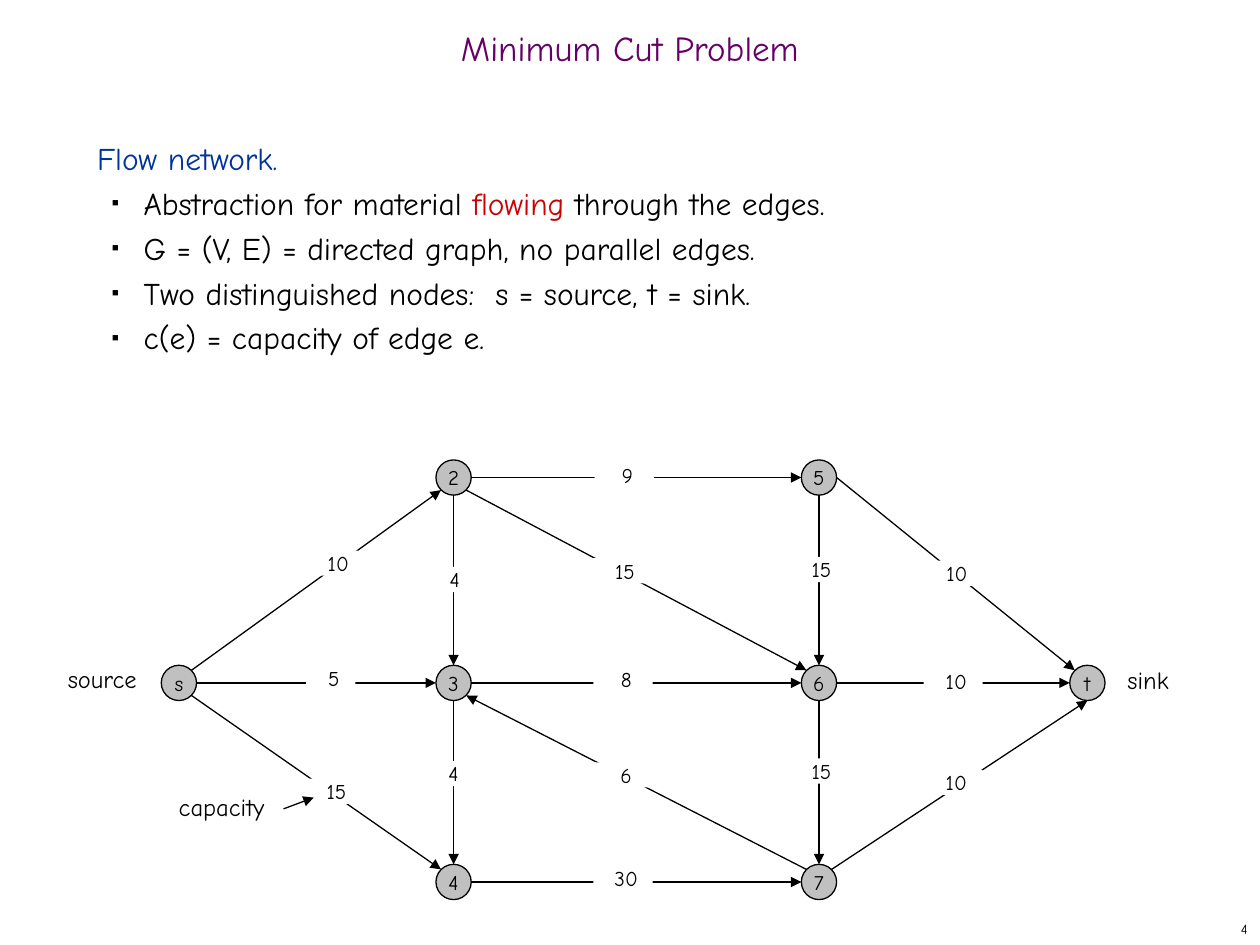
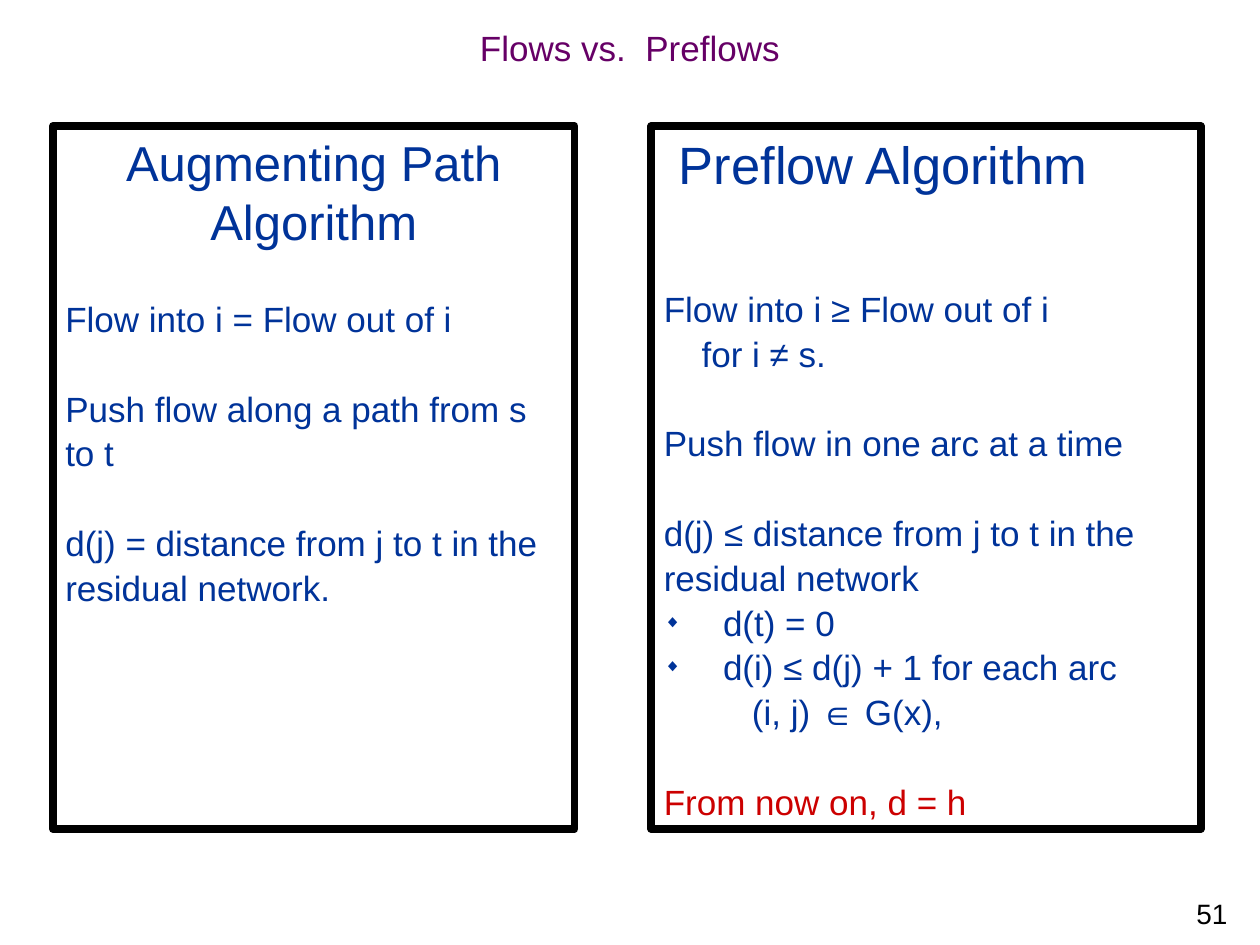
"""Build two slides on network flows: the minimum cut problem, and flows against preflows."""
from lxml.etree import SubElement
from pptx import Presentation
from pptx.dml.color import RGBColor
from pptx.enum.shapes import MSO_CONNECTOR as Connector, MSO_SHAPE as Shape
from pptx.enum.text import MSO_ANCHOR as Anchor, MSO_AUTO_SIZE as AutoSize, PP_ALIGN as Align
from pptx.oxml.ns import qn
from pptx.util import Inches, Pt

BLACK, WHITE, GRAY = "000000", "FFFFFF", "C0C0C0"
PURPLE, BLUE, RED = "660066", "003399", "CC0000"
LINE_PITCH = 25.6
RADIUS, DIAGONAL = 0.14, 0.1
PORTS = {
    "N": (0, -RADIUS), "S": (0, RADIUS), "W": (-RADIUS, 0), "E": (RADIUS, 0),
    "NW": (-DIAGONAL, -DIAGONAL), "NE": (DIAGONAL, -DIAGONAL),
    "SW": (-DIAGONAL, DIAGONAL), "SE": (DIAGONAL, DIAGONAL),
}


def rgb(color):
    """Turn a hex string into a colour."""
    return RGBColor.from_string(color)


class Deck:
    """Hold the shared style and the slide being drawn."""

    def __init__(self):
        """Open an empty presentation of 10 by 7.5 inches."""
        self.presentation = Presentation()
        self.presentation.slide_width = Inches(10)
        self.presentation.slide_height = Inches(7.5)

    def start(self, layout, title, font):
        """Add a slide with its title."""
        self.slide = self.presentation.slides.add_slide(self.presentation.slide_layouts[layout])
        self.font = font
        shape = self.slide.shapes.title
        self.place(shape, 0, 0.17, 10, 0.5)
        frame = self.frame(shape, Anchor.MIDDLE)
        self.fill_paragraph(frame.paragraphs[0], title, 20, PURPLE, Align.CENTER, spacing=0.7)

    def place(self, shape, left, top, width, height):
        """Move and size a shape."""
        shape.left, shape.top = Inches(left), Inches(top)
        shape.width, shape.height = Inches(width), Inches(height)

    def frame(self, shape, anchor=Anchor.TOP, wrap=True, insets=(0.1, 0.05, 0.1, 0.05)):
        """Prepare the text frame of a shape."""
        frame = shape.text_frame
        frame.auto_size, frame.word_wrap, frame.vertical_anchor = AutoSize.NONE, wrap, anchor
        frame.margin_left, frame.margin_top, frame.margin_right, frame.margin_bottom = map(Inches, insets)
        return frame

    def fill_paragraph(self, paragraph, text, size, color, align=Align.LEFT, spacing=None,
                       before=0, margin=0, indent=0, bullet=None):
        """Fill and format a paragraph from a string or from (text, colour) pieces."""
        pieces = [(text, color)] if isinstance(text, str) else text
        for words, tint in pieces:
            run = paragraph.add_run()
            run.text = words
            run.font.name, run.font.size = self.font, Pt(size)
            run.font.color.rgb = rgb(tint)
        paragraph.alignment = align
        paragraph.space_before = Pt(before)
        if spacing:
            paragraph.line_spacing = spacing
        properties = paragraph._p.get_or_add_pPr()
        properties.set("marL", str(Inches(margin)))
        properties.set("indent", str(Inches(indent)))
        if bullet:
            mark, percent = bullet
            SubElement(SubElement(properties, qn("a:buClr")), qn("a:srgbClr"), val=color)
            SubElement(properties, qn("a:buSzPct"), val=str(percent * 1000))
            SubElement(properties, qn("a:buFont"), typeface="Arial")
            SubElement(properties, qn("a:buChar"), char=mark)
        else:
            SubElement(properties, qn("a:buNone"))

    def body(self, heading, items):
        """Fill the body placeholder with a heading and bulleted items."""
        shape = self.slide.placeholders[1]
        self.place(shape, 0.67, 1, 8.58, 5.92)
        frame = self.frame(shape)
        self.fill_paragraph(frame.paragraphs[0], heading, 18, BLUE, spacing=Pt(LINE_PITCH))
        for item in items:
            paragraph = frame.add_paragraph()
            paragraph.level = 1
            self.fill_paragraph(paragraph, item, 18, BLACK, spacing=Pt(LINE_PITCH),
                                margin=0.37, indent=-0.25, bullet=("■", 35))

    def text(self, text, left, top, width, height, size, align=Align.LEFT, anchor=Anchor.TOP):
        """Add a line of black text."""
        box = self.slide.shapes.add_textbox(*map(Inches, (left, top, width, height)))
        frame = self.frame(box, anchor, wrap=False)
        self.fill_paragraph(frame.paragraphs[0], text, size, BLACK, align)

    def shape(self, kind, left, top, width, height, fill, line_width=0):
        """Add a filled shape, outlined in black if a line width is given."""
        shape = self.slide.shapes.add_shape(kind, *map(Inches, (left, top, width, height)))
        shape.shadow.inherit = False
        shape.fill.solid()
        shape.fill.fore_color.rgb = rgb(fill)
        if line_width:
            shape.line.color.rgb = rgb(BLACK)
            shape.line.width = Pt(line_width)
        else:
            shape.line.fill.background()
        return shape

    def node(self, name, x, y):
        """Add a graph node centred on a point."""
        circle = self.shape(Shape.OVAL, x - RADIUS, y - RADIUS, 2 * RADIUS, 2 * RADIUS, GRAY, 0.74)
        frame = self.frame(circle, Anchor.MIDDLE, wrap=False)
        self.fill_paragraph(frame.paragraphs[0], name, 12, BLACK, Align.CENTER)

    def arrow(self, start, end):
        """Add an arrow between two points."""
        arrow = self.slide.shapes.add_connector(Connector.STRAIGHT, *map(Inches, (*start, *end)))
        arrow.line.color.rgb = rgb(BLACK)
        arrow.line.width = Pt(0.74)
        SubElement(arrow.line._get_or_add_ln(), qn("a:tailEnd"), type="triangle")
        SubElement(arrow._element.spPr, qn("a:effectLst"))

    def capacity(self, value, left, top, width, shift):
        """Add a capacity on a white patch that interrupts its edge."""
        patch = self.shape(Shape.RECTANGLE, left, top, width, 0.2, WHITE)
        frame = self.frame(patch, insets=(shift, 0, 0, 0))
        self.fill_paragraph(frame.paragraphs[0], value, 12, BLACK, Align.CENTER)

    def panel(self, left, width, heading, lines):
        """Add a framed panel with a heading and lines of (text, colour, options)."""
        frame = self.frame(self.shape(Shape.RECTANGLE, left, 1, width, 5.58, WHITE, 4.51))
        text, size, options = heading
        self.fill_paragraph(frame.paragraphs[0], text, size, BLUE, **options)
        for text, color, options in lines:
            self.fill_paragraph(frame.add_paragraph(), text, 20, color, spacing=Pt(LINE_PITCH), **options)


deck = Deck()

deck.start(1, "Minimum Cut Problem", "Comic Neue")
deck.body("Flow network.", [
    [("Abstraction for material ", BLACK), ("flowing", RED), (" through the edges.", BLACK)],
    "G = (V, E) = directed graph, no parallel edges.",
    "Two distinguished nodes:  s = source, t = sink.",
    "c(e) = capacity of edge e.",
])
deck.text("4", 7.92, 7.25, 2.08, 0.25, 8, Align.RIGHT, Anchor.MIDDLE)

top_row, middle_row, bottom_row = 3.79, 5.42, 7
nodes = {
    "s": (1.42, middle_row), "t": (8.63, middle_row),
    "2": (3.6, top_row), "3": (3.6, middle_row), "4": (3.6, bottom_row),
    "5": (6.5, top_row), "6": (6.5, middle_row), "7": (6.5, bottom_row),
}
edges = [
    ("s", "NE", "2", "SW", "10", 2.37, 4.37, 0.47, 0.16),
    ("s", "E", "3", "W", "5", 2.43, 5.28, 0.39, 0.05),
    ("s", "SE", "4", "NW", "15", 2.41, 6.18, 0.47, 0.05),
    ("2", "E", "5", "W", "9", 4.72, 3.67, 0.47, 0.05),
    ("2", "SE", "6", "NW", "15", 4.7, 4.43, 0.47, 0.05),
    ("2", "S", "3", "N", "4", 3.35, 4.5, 0.47, 0.05),
    ("3", "E", "6", "W", "8", 4.71, 5.29, 0.47, 0.05),
    ("3", "S", "4", "N", "4", 3.34, 6.04, 0.47, 0.05),
    ("4", "E", "7", "W", "30", 4.71, 6.87, 0.47, 0.05),
    ("5", "S", "6", "N", "15", 6.26, 4.42, 0.47, 0.05),
    ("5", "E", "t", "NW", "10", 7.28, 4.45, 0.47, 0.16),
    ("6", "E", "t", "W", "10", 7.33, 5.31, 0.47, 0.05),
    ("6", "S", "7", "N", "15", 6.26, 6.02, 0.47, 0.05),
    ("7", "NW", "3", "SE", "6", 4.71, 6.05, 0.47, 0.05),
    ("7", "NE", "t", "S", "10", 7.33, 6.11, 0.47, 0.05),
]
for name, center in nodes.items():
    deck.node(name, *center)
for start, start_port, end, end_port, value, *patch in edges:
    start_point, end_point = (
        [center + offset for center, offset in zip(nodes[name], PORTS[port])]
        for name, port in ((start, start_port), (end, end_port))
    )
    deck.arrow(start_point, end_point)
    deck.capacity(value, *patch)
deck.text("capacity", 1.32, 6.24, 0.88, 0.33, 14)
deck.arrow((2.25, 6.42), (2.49, 6.33))
deck.text("source", 0.44, 5.22, 0.75, 0.33, 14)
deck.text("sink", 8.85, 5.23, 0.53, 0.33, 14)

deck.start(5, "Flows vs.  Preflows", "Arial")
deck.text("51", 7.92, 7, 1.92, 0.5, 16, Align.RIGHT, Anchor.MIDDLE)
gap = {"before": LINE_PITCH}
diamond = {"margin": 0.47, "indent": -0.47, "bullet": ("◆", 50)}
deck.panel(0.42, 4.14, ("Augmenting Path Algorithm", 28, {"align": Align.CENTER}), [
    ("Flow into i = Flow out of i", BLUE, gap),
    ("Push flow along a path from s to t", BLUE, gap),
    ("d(j) = distance from j to t in the residual network.", BLUE, gap),
])
deck.panel(5.17, 4.36, ("Preflow Algorithm", 30, {"margin": 0.12}), [
    ("Flow into i ≥ Flow out of i", BLUE, {"before": 2 * LINE_PITCH}),
    ("for i ≠ s.", BLUE, {"margin": 0.3}),
    ("Push flow in one arc at a time", BLUE, gap),
    ("d(j) ≤ distance from j to t in the residual network", BLUE, gap),
    ("d(t) = 0", BLUE, diamond),
    ("d(i) ≤ d(j) + 1 for each arc", BLUE, diamond),
    ("(i, j) ∈ G(x),", BLUE, {"margin": 0.7}),
    ("From now on, d = h", RED, gap),
])

deck.presentation.save("out.pptx")
